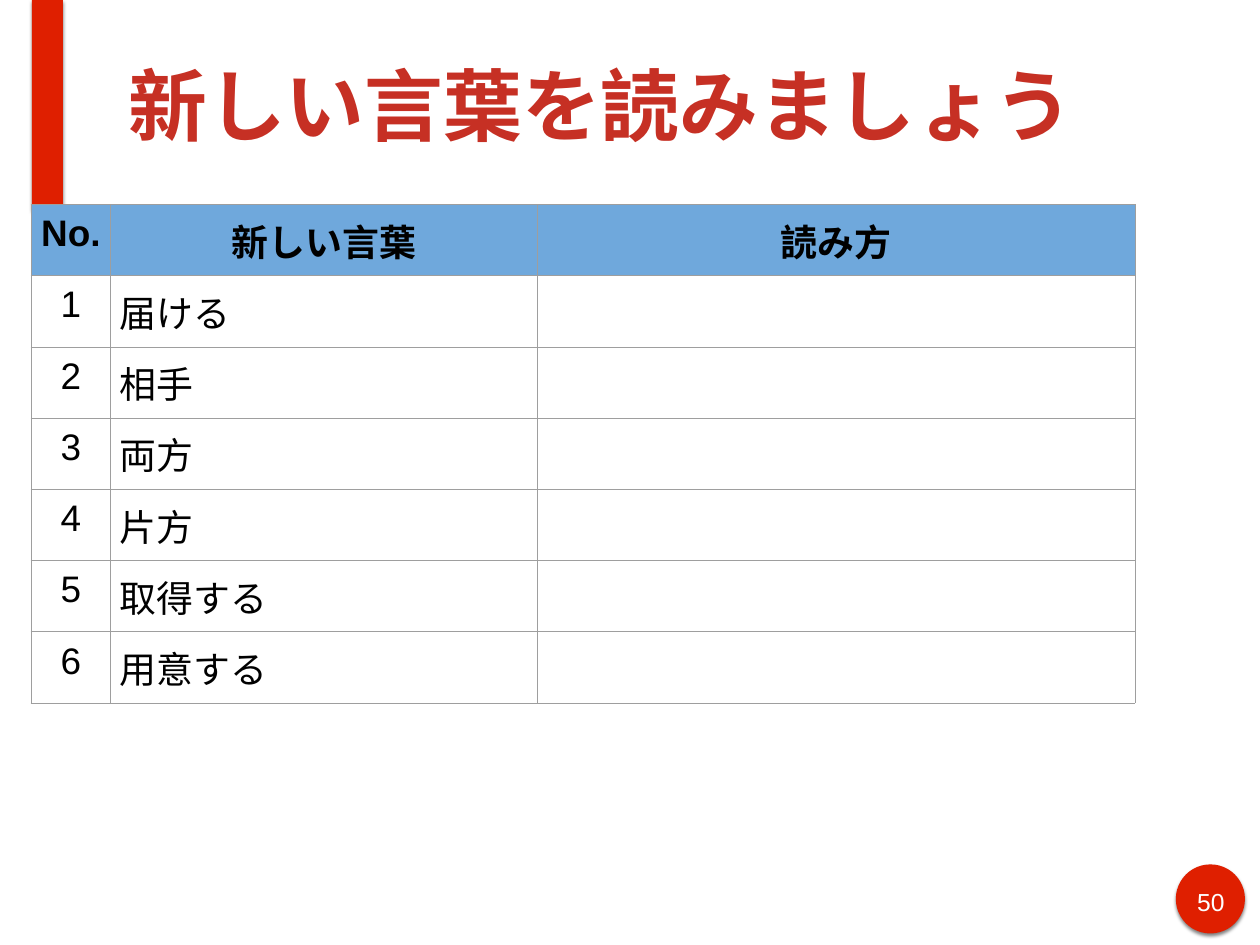
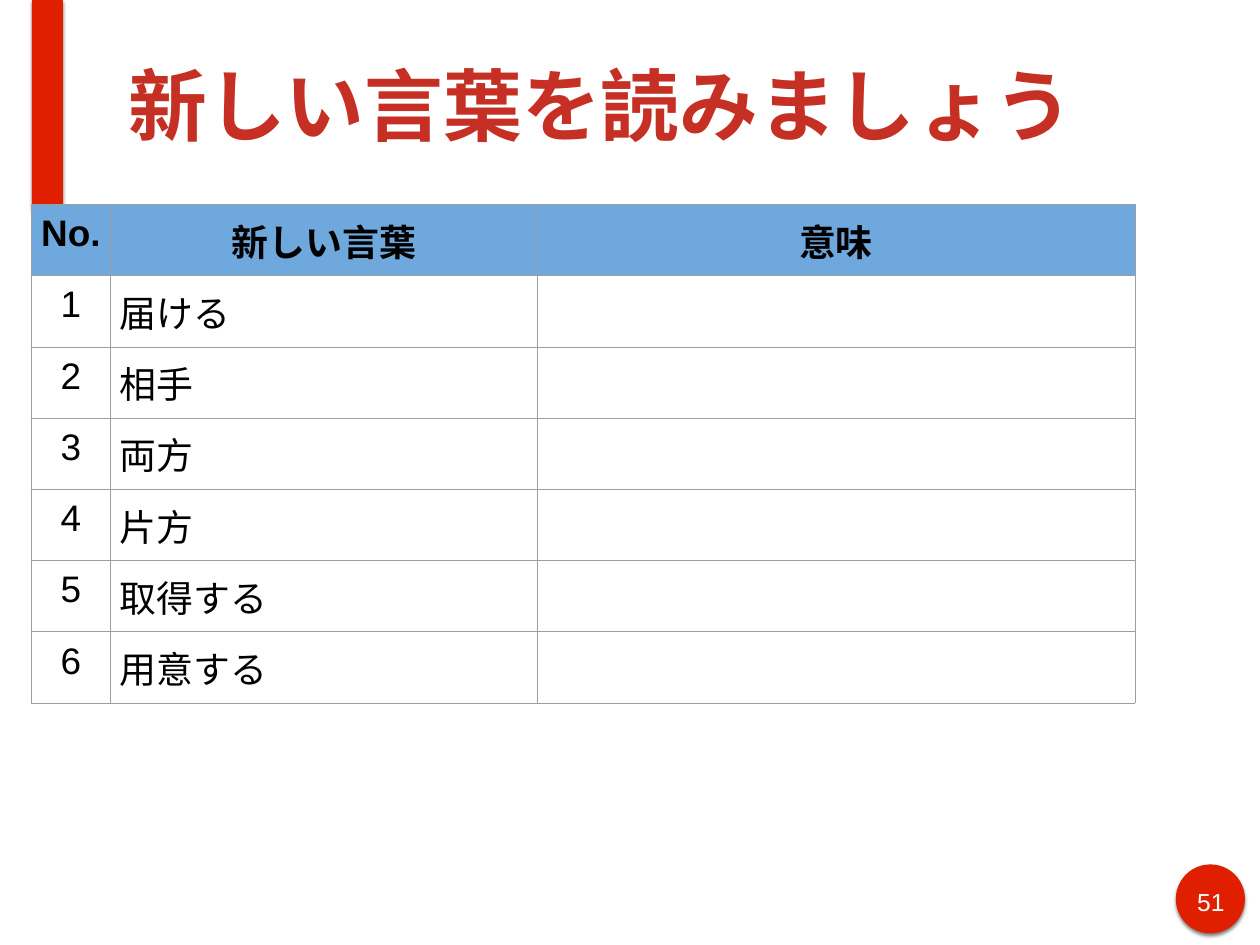
import lxml.etree
import pptx
import pptx.dml.color
import pptx.enum.shapes
import pptx.enum.text
import pptx.oxml
import pptx.oxml.ns
import pptx.util

Inches = pptx.util.Inches
Pt = pptx.util.Pt
ALIGN = pptx.enum.text.PP_ALIGN
ANCHOR = pptx.enum.text.MSO_ANCHOR
SHAPE = pptx.enum.shapes.MSO_SHAPE

RED, TITLE_RED, BLUE = "DF1F00", "C63024", "6FA8DC"
GREY, BLACK, WHITE = "9E9E9E", "000000", "FFFFFF"
FONT = "Arial"
TITLE = "新しい言葉を読みましょう"
WORDS = ["届ける", "相手", "両方", "片方", "取得する", "用意する"]
COLUMN_WIDTHS = [0.9, 4.81, 6.75]
ROW_HEIGHT = 0.76

BAND_BOX = (0.36, 0, 0.35, 2.36)
BADGE_BOX = (13.27, 9.76, 0.78, 0.78)
TITLE_BOX = (1.39, 0.12, 12.14, 2.12)
TABLE_BOX = (0.35, 2.31, sum(COLUMN_WIDTHS), ROW_HEIGHT * (len(WORDS) + 1))

TITLE_FORMAT = {"name": FONT, "size": Pt(64), "bold": True}
NUMBER_FORMAT = {"name": FONT, "size": Pt(20), "bold": False}
HEADER_FORMAT = {"name": FONT, "size": Pt(30), "bold": True}
CELL_FORMAT = {**HEADER_FORMAT, "bold": False}


def color(value):
    return pptx.dml.color.RGBColor.from_string(value)


def lengths(box):
    return [Inches(value) for value in box]


def set_attributes(target, values):
    for name, value in values.items():
        setattr(target, name, value)


def write(frame, text, font_format, font_color, align):
    para = frame.paragraphs[0]
    para.alignment = align
    span = para.add_run()
    span.text = text
    set_attributes(span.font, font_format)
    span.font.color.rgb = color(font_color)


def set_frame(frame, anchor):
    margins = dict.fromkeys(
        ["margin_left", "margin_top", "margin_right", "margin_bottom"], Inches(0.06))
    set_attributes(frame, {
        **margins,
        "word_wrap": True,
        "auto_size": pptx.enum.text.MSO_AUTO_SIZE.NONE,
        "vertical_anchor": anchor,
    })


def add_shadowed(slide, kind, box):
    shape = slide.shapes.add_shape(kind, *lengths(box))
    shape.fill.solid()
    shape.fill.fore_color.rgb = color(RED)
    shape.line.fill.background()
    shape.shadow.inherit = False
    effects = shape.element.spPr.find(pptx.oxml.ns.qn("a:effectLst"))
    effects.append(pptx.oxml.parse_xml(
        f'<a:outerShdw {pptx.oxml.ns.nsdecls("a")} blurRad="{Pt(3)}" dist="{Pt(2)}" '
        f'dir="5400000" rotWithShape="0"><a:srgbClr val="{BLACK}">'
        '<a:alpha val="50000"/></a:srgbClr></a:outerShdw>'))


def add_badge(slide, box, number):
    left, top, width, height = box
    add_shadowed(slide, SHAPE.OVAL, box)
    label = slide.shapes.add_textbox(
        *lengths((left + 0.15, top + 0.19, width - 0.29, height / 2)))
    set_frame(label.text_frame, ANCHOR.TOP)
    write(label.text_frame, str(number), NUMBER_FORMAT, WHITE, ALIGN.CENTER)


def set_title(slide, box):
    title = slide.shapes.title
    set_attributes(title, dict(zip(["left", "top", "width", "height"], lengths(box))))
    set_frame(title.text_frame, ANCHOR.MIDDLE)
    write(title.text_frame, TITLE, TITLE_FORMAT, TITLE_RED, ALIGN.LEFT)


def set_borders(cell):
    properties = cell._tc.get_or_add_tcPr()
    for index, side in enumerate(["lnL", "lnR", "lnT", "lnB"]):
        properties.insert(index, pptx.oxml.parse_xml(
            f'<a:{side} {pptx.oxml.ns.nsdecls("a")} w="{Pt(0.75)}"><a:solidFill>'
            f'<a:srgbClr val="{GREY}"/></a:solidFill></a:{side}>'))


def fill_cell(cell, text, is_header, align):
    margins = ["margin_left", "margin_top", "margin_right", "margin_bottom"]
    set_attributes(cell, dict.fromkeys(margins, Inches(0.1)))
    if is_header:
        cell.fill.solid()
        cell.fill.fore_color.rgb = color(BLUE)
    else:
        cell.fill.background()
    set_borders(cell)
    if text:
        font_format = HEADER_FORMAT if is_header else CELL_FORMAT
        write(cell.text_frame, text, font_format, BLACK, align)


def add_word_table(slide, box, answer_heading):
    rows = [("No.", "新しい言葉", answer_heading)]
    rows += [(str(number), word, "") for number, word in enumerate(WORDS, 1)]
    table = slide.shapes.add_table(len(rows), len(COLUMN_WIDTHS), *lengths(box)).table
    table.horz_banding = False
    for column, width in zip(table.columns, COLUMN_WIDTHS):
        column.width = Inches(width)
    for row_index, texts in enumerate(rows):
        table.rows[row_index].height = Inches(ROW_HEIGHT)
        for column_index, text in enumerate(texts):
            is_header = row_index == 0
            centred = is_header or column_index == 0
            fill_cell(table.cell(row_index, column_index), text, is_header,
                      ALIGN.CENTER if centred else ALIGN.LEFT)


def add_word_slide(deck, number, answer_heading):
    slide = deck.slides.add_slide(deck.slide_layouts[5])
    slide.background.fill.solid()
    slide.background.fill.fore_color.rgb = color(WHITE)
    add_shadowed(slide, SHAPE.RECTANGLE, BAND_BOX)
    add_badge(slide, BADGE_BOX, number)
    set_title(slide, TITLE_BOX)
    add_word_table(slide, TABLE_BOX, answer_heading)


def main():
    deck = pptx.Presentation()
    deck.slide_width, deck.slide_height = lengths((14.22, 10.67))
    for number, answer_heading in enumerate(["読み方", "意味"], 50):
        add_word_slide(deck, number, answer_heading)
    deck.save("out.pptx")


if __name__ == "__main__":
    main()
